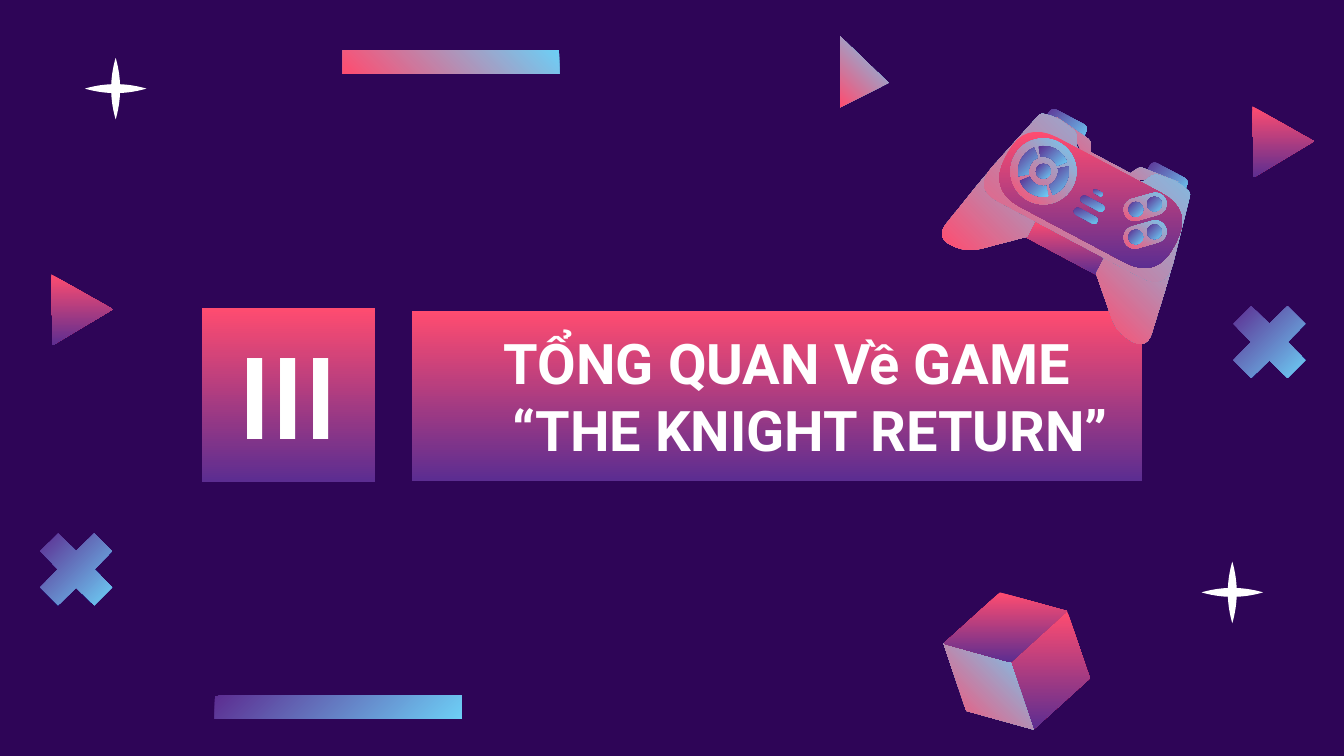
from math import cos, dist, radians, sin

from pptx import Presentation
from pptx.dml.color import RGBColor
from pptx.enum.shapes import MSO_SHAPE
from pptx.enum.text import MSO_ANCHOR, PP_ALIGN
from pptx.util import Pt

COLORS = {"night": "2E0557", "white": "FFFFFF", "coral": "FF4C70",
          "violet": "5C2D91", "sky": "6DCFF6"}
# First colour, last colour, counterclockwise angle
GRADIENTS = {"sunset": ("coral", "violet", 270),
             "dusk": ("violet", "sky", 315),
             "glow": ("sky", "coral", 225)}
CURVE_STEPS = 8

# All lengths are in points. Place is left, top, width, height.
TITLE_BOXES = [
    {"place": (108, 165, 93, 93), "text": "III",
     "font": "Lato", "size": 60, "margin": 0, "indent": 0},
    {"place": (220.5, 166.8, 391.5, 90.7), "text": "TỔNG QUAN Về GAME “THE KNIGHT RETURN”",
     "font": "Roboto", "size": 30, "margin": 36, "indent": -25.2},
]
BARS = [("dusk", (115, 372.7, 132.5, 12.5)), ("glow", (183.7, 27, 116, 12.5))]

# Fill, corners, top left places
TRIANGLES = [
    ("glow", [(0, 0), (0, 38), (26, 25)], [(450, 19.4)]),
    ("sunset", [(0, 0), (33, 18.7), (0.7, 38)], [(27.5, 147), (671, 57)]),
]
STAR_CENTRES = [(62, 47.5), (660.2, 317.4)]
STAR_RADIUS, STAR_WAIST = 16.5, 2.4
CROSS_CENTRES = [(40.8, 305), (680, 183.2)]
CROSS_ARM = [(9.8, 0), (19.2, 9.7), (9.7, 19.2)]

# The cube's middle corner and the three edges that leave it
CUBE_CORNER = (541.5, 354.8)
CUBE_EDGES = {"right": (30.2, -27.4), "down": (12.2, 36), "left": (-36, -10)}
CUBE_FACES = [("sunset", "right", "down"), ("glow", "left", "down"), ("sunset", "right", "left")]

# The controller is drawn upright around its centre, then tilted.
# Only the right half is listed; a corner is x, y, rounding.
CENTRE, TILT = (583.9, 108), 28
TRIGGER = [(19, -25), (19.5, -35, 3), (41.5, -35, 3), (42.5, -25)]
GRIP = [(16, -21.5), (46.5, -21.5, 4), (56, 13.5, 10), (64, 55.5, 9),
        (46, 55.5, 9), (21, 32.5), (21, 13.5)]
BRIDGE = [(21.5, 22.5), (21.5, 33)]
TOP_EDGE = [(12, -23.5), (15, -29, 2), (37, -31.5), (21, -25, 3), (16, -21)]
BODY = [(15, -21), (20, -22, 3), (23.5, -29.5, 3), (37, -31.5, 5),
        (45.5, -29.5, 2), (58.5, 23, 15)]
FACE = [(51, -22, 19.5), (51, 20, 19.5)]
# Fill, half outline, whether the two halves join into one outline
CONTROLLER_PARTS = [
    ("sunset", BRIDGE, True), ("dusk", TRIGGER, False), ("glow", GRIP, False),
    ("glow", TOP_EDGE, True), ("glow", BODY, True), ("sunset", FACE, True),
]
WHEEL, WHEEL_RADIUS, HUB_RADIUS = (559, 91.8), 17.65, 4
PETAL_RADII, PETAL_START, PETAL_SPAN = (7.9, 13.6), 169, 79
BUTTON_PADS, PAD_SIZE, PAD_TURN = [(613.5, 110.8), (613.5, 125.6)], (23.4, 12), -16
BUTTON_OFFSET, BUTTON_RADIUS = (5, -1.4), 4
# Centre and size
SLOTS = [((588.2, 103.3), (5.5, 2.2)), ((585.3, 109.1), (14, 4)), ((581.7, 115.6), (14, 4))]


def rgb(name):
    return RGBColor.from_string(COLORS[name])


def paint(shape, fill):
    shape.shadow.inherit = False
    shape.line.fill.background()
    if fill in COLORS:
        shape.fill.solid()
        shape.fill.fore_color.rgb = rgb(fill)
        return
    first, last, angle = GRADIENTS[fill]
    shape.fill.gradient()
    shape.fill.gradient_angle = angle
    for stop, color in zip(shape.fill.gradient_stops, (first, last)):
        stop.color.rgb = rgb(color)


def add(*points):
    return tuple(sum(axis) for axis in zip(*points))


def turn(point, degrees):
    x, y = point
    c, s = cos(radians(degrees)), sin(radians(degrees))
    return (x * c - y * s, x * s + y * c)


def four_turns(points):
    return [turn(point, 90 * quarter) for quarter in range(4) for point in points]


def mirror(corners):
    """Reflect left to right, keeping the direction of the outline."""
    return [(-x, *rest) for x, *rest in reversed(corners)]


def round_corners(corners):
    """Replace each corner that has a rounding with a quadratic curve."""
    points = []
    for i, (x, y, *rounding) in enumerate(corners):
        corner = (x, y)
        if not rounding:
            points.append(corner)
            continue
        ends = []
        for neighbour in (corners[i - 1][:2], corners[(i + 1) % len(corners)][:2]):
            share = min(0.5, rounding[0] / dist(corner, neighbour))
            ends.append([a + (b - a) * share for a, b in zip(corner, neighbour)])
        for step in range(CURVE_STEPS + 1):
            t = step / CURVE_STEPS
            points.append(tuple((1 - t) ** 2 * a + 2 * t * (1 - t) * b + t * t * c
                                for a, b, c in zip(ends[0], corner, ends[1])))
    return points


def add_outline(shapes, fill, points, origin=(0, 0)):
    places = [tuple(Pt(value) for value in add(point, origin)) for point in points]
    builder = shapes.build_freeform(*places[0])
    builder.add_line_segments(places[1:], close=True)
    paint(builder.convert_to_shape(), fill)


def add_preset(shapes, kind, fill, place):
    shape = shapes.add_shape(kind, *(Pt(value) for value in place))
    paint(shape, fill)
    return shape


def add_disc(shapes, fill, centre, radius):
    corner = add(centre, (-radius, -radius))
    add_preset(shapes, MSO_SHAPE.OVAL, fill, (*corner, 2 * radius, 2 * radius))


def add_pill(shapes, fill, centre, size, degrees):
    corner = add(centre, (-size[0] / 2, -size[1] / 2))
    pill = add_preset(shapes, MSO_SHAPE.ROUNDED_RECTANGLE, fill, (*corner, *size))
    pill.adjustments[0] = 0.5
    pill.rotation = degrees


def add_title_box(shapes, place, text, font, size, margin, indent):
    box = add_preset(shapes, MSO_SHAPE.RECTANGLE, "sunset", place)
    frame = box.text_frame
    frame.word_wrap = True
    frame.vertical_anchor = MSO_ANCHOR.MIDDLE
    frame.margin_left = frame.margin_right = frame.margin_top = frame.margin_bottom = Pt(7.2)
    para = frame.paragraphs[0]
    para.alignment = PP_ALIGN.CENTER
    properties = para._p.get_or_add_pPr()
    properties.set("marL", str(Pt(margin)))
    properties.set("indent", str(Pt(indent)))
    span = para.add_run()
    span.text = text
    span.font.name, span.font.size, span.font.bold = font, Pt(size), True
    span.font.color.rgb = rgb("white")


def add_decorations(shapes):
    for fill, corners, places in TRIANGLES:
        for place in places:
            add_outline(shapes, fill, corners, place)
    # Each ray narrows along a parabola from the waist to its tip
    reach = [STAR_WAIST + (STAR_RADIUS - STAR_WAIST) * i / CURVE_STEPS
             for i in range(CURVE_STEPS + 1)]
    edge = [(x, STAR_WAIST * (1 - (x / STAR_RADIUS) ** 2)) for x in reach]
    ray = [(x, -y) for x, y in edge] + edge[::-1]
    for fill, arm, centres in (("white", ray, STAR_CENTRES), ("dusk", CROSS_ARM, CROSS_CENTRES)):
        for centre in centres:
            add_outline(shapes, fill, four_turns(arm), centre)
    for fill, place in BARS:
        add_preset(shapes, MSO_SHAPE.RECTANGLE, fill, place)


def add_cube(shapes):
    for fill, *names in CUBE_FACES:
        first, second = (CUBE_EDGES[name] for name in names)
        add_outline(shapes, fill, [(0, 0), first, add(first, second), second], CUBE_CORNER)


def add_controller(shapes):
    for fill, half, joined in CONTROLLER_PARTS:
        outlines = [half + mirror(half)] if joined else [mirror(half), half]
        for corners in outlines:
            tilted = [turn(point, TILT) for point in round_corners(corners)]
            add_outline(shapes, fill, tilted, CENTRE)

    add_disc(shapes, "glow", WHEEL, WHEEL_RADIUS)
    angles = [PETAL_START + PETAL_SPAN * i / CURVE_STEPS for i in range(CURVE_STEPS + 1)]
    inner, outer = ([turn((radius, 0), angle) for angle in angles] for radius in PETAL_RADII)
    for quarter in range(4):
        petal = [turn(point, 90 * quarter) for point in outer + inner[::-1]]
        add_outline(shapes, "dusk", petal, WHEEL)
    add_disc(shapes, "dusk", WHEEL, HUB_RADIUS)

    for centre in BUTTON_PADS:
        add_pill(shapes, "glow", centre, PAD_SIZE, PAD_TURN)
        for side in (-1, 1):
            offset = [side * value for value in BUTTON_OFFSET]
            add_disc(shapes, "dusk", add(centre, offset), BUTTON_RADIUS)
    for centre, size in SLOTS:
        add_pill(shapes, "dusk", centre, size, TILT)


deck = Presentation()
deck.slide_width, deck.slide_height = Pt(720), Pt(405)
page = deck.slides.add_slide(deck.slide_layouts[6])
page.background.fill.solid()
page.background.fill.fore_color.rgb = rgb("night")

add_decorations(page.shapes)
add_cube(page.shapes.add_group_shape().shapes)
for title_box in TITLE_BOXES:
    add_title_box(page.shapes, **title_box)
add_controller(page.shapes.add_group_shape().shapes)

deck.save("out.pptx")
